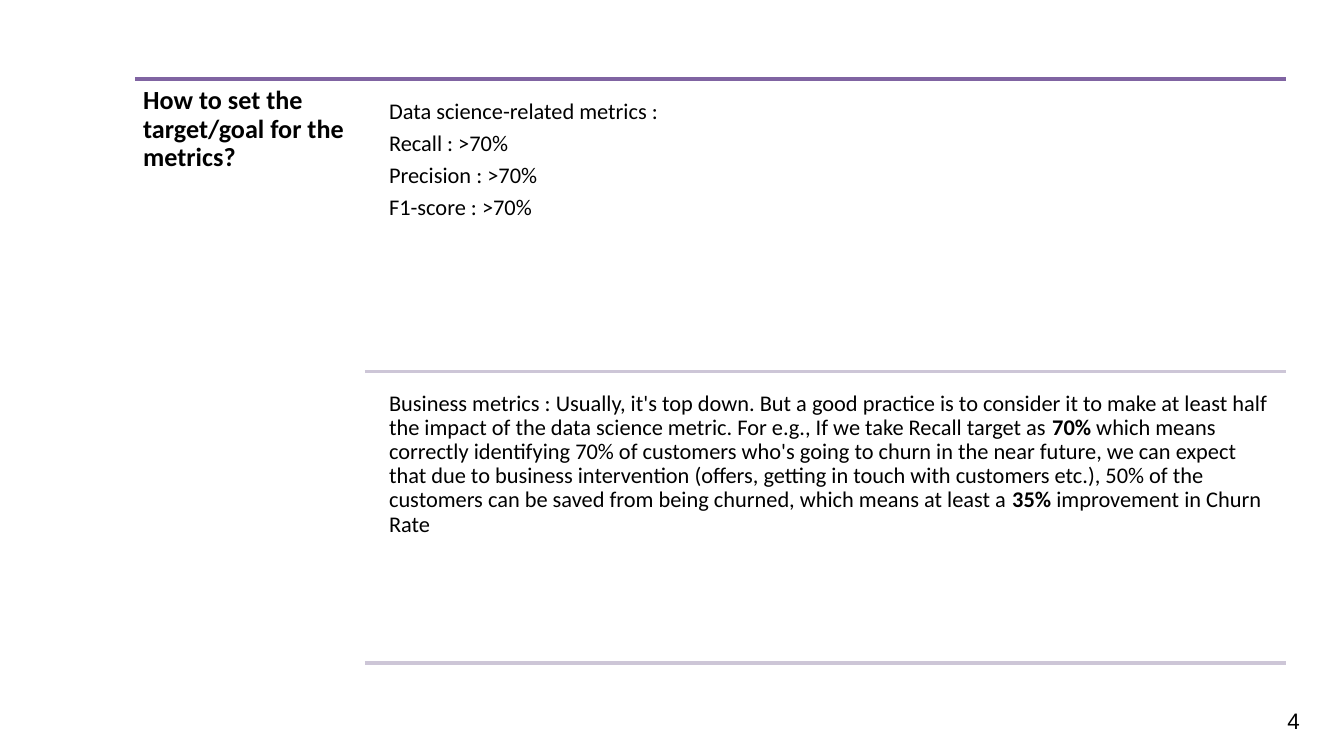
from lxml import etree
from pptx import Presentation
from pptx.dml.color import RGBColor
from pptx.enum.shapes import MSO_CONNECTOR
from pptx.enum.text import MSO_ANCHOR, MSO_AUTO_SIZE, PP_ALIGN
from pptx.oxml.ns import qn
from pptx.util import Pt

PX = 4572  # EMU per px, 200 px to the inch
STRAIGHT = MSO_CONNECTOR.STRAIGHT
TOP, MIDDLE = MSO_ANCHOR.TOP, MSO_ANCHOR.MIDDLE
LEFT, RIGHT = PP_ALIGN.LEFT, PP_ALIGN.RIGHT
NO_FIT = MSO_AUTO_SIZE.NONE

BLACK, PURPLE, LILAC = "000000", "8064A2", "CDC6D7"

QUESTION = [[("How to set the target/goal for the metrics?", True)]]
DATA_METRICS = [
    [("Data science-related metrics :", False)],
    [("Recall : >70%", False)],
    [("Precision : >70%", False)],
    [("F1-score : >70%", False)],
]
BUSINESS_METRICS = [[
    ("Business metrics : Usually, it's top down. But a good practice is to "
     "consider it to make at least half the impact of the data science metric. "
     "For e.g., If we take Recall target as ", False),
    ("70%", True),
    (" which means correctly identifying 70% of customers who's going to churn "
     "in the near future, we can expect that due to business intervention "
     "(offers, getting in touch with customers etc.), 50% of the customers can "
     "be saved from being churned, which means at least a ", False),
    ("35%", True),
    (" improvement in Churn Rate", False),
]]


def color(value):
    return RGBColor.from_string(value)


def place(sp, box):
    sp.left, sp.top, sp.width, sp.height = [v * PX for v in box]


def write(sp, paragraphs, size, inset, font="Calibri", align=LEFT,
          anchor=TOP, spacing=0.9, after=0.35):
    tf = sp.text_frame
    frame = {"word_wrap": True, "auto_size": NO_FIT, "vertical_anchor": anchor}
    for side in ("left", "top", "right", "bottom"):
        frame["margin_" + side] = inset * PX
    for name, value in frame.items():
        setattr(tf, name, value)
    form = {"alignment": align, "line_spacing": spacing,
            "space_before": Pt(0), "space_after": Pt(size * after)}
    for i, runs in enumerate(paragraphs):
        p = tf.paragraphs[0] if i == 0 else tf.add_paragraph()
        for name, value in form.items():
            setattr(p, name, value)
        # No bullet and no hanging indent
        pPr = p._p.get_or_add_pPr()
        pPr.set("marL", "0")
        pPr.set("indent", "0")
        etree.SubElement(pPr, qn("a:buNone"))
        for text, bold in runs:
            r = p.add_run()
            r.text = text
            look = {"name": font, "size": Pt(size), "bold": bold}
            for name, value in look.items():
                setattr(r.font, name, value)
            r.font.color.rgb = color(BLACK)


def add_rule(s, x1, x2, y, line_color):
    line = s.shapes.add_connector(STRAIGHT, x1 * PX, y * PX, x2 * PX, y * PX)
    line.line.color.rgb = color(line_color)
    line.line.width = Pt(2)
    etree.SubElement(line._element.spPr, qn("a:effectLst"))


def add_question(s, box):
    x, y, w, h = box
    add_rule(s, x, x + w, y, PURPLE)
    title = s.shapes.title
    place(title, (x, y, w // 5, h))
    write(title, QUESTION, 14, 12)


def add_answers(s, box, answers):
    x, y, w, h = box
    gap, indent = 20, 26
    row_h = (h - gap) // len(answers)
    bodies = [sp for sp in s.placeholders if sp.placeholder_format.idx > 0]
    for i, (body, answer) in enumerate(zip(bodies, answers)):
        top = y + gap + i * row_h
        place(body, (x + indent, top, w - indent - 2, row_h - gap))
        write(body, answer, 12, 10)
        add_rule(s, x, x + w, top + row_h - gap, LILAC)


def add_page_number(s, box):
    sp = s.shapes.add_textbox(0, 0, 0, 0)
    place(sp, box)
    write(sp, [[("4", False)]], 12, 20, font="Arial", align=RIGHT,
          anchor=MIDDLE, spacing=1.0, after=0)


def main():
    prs = Presentation()
    prs.slide_width, prs.slide_height = 2000 * PX, 1125 * PX
    s = prs.slides.add_slide(prs.slide_layouts.get_by_name("Two Content"))
    add_question(s, (201, 118, 1713, 888))
    add_answers(s, (543, 119, 1371, 888), [DATA_METRICS, BUSINESS_METRICS])
    add_page_number(s, (1824, 1043, 130, 60))
    prs.save("out.pptx")


if __name__ == "__main__":
    main()
